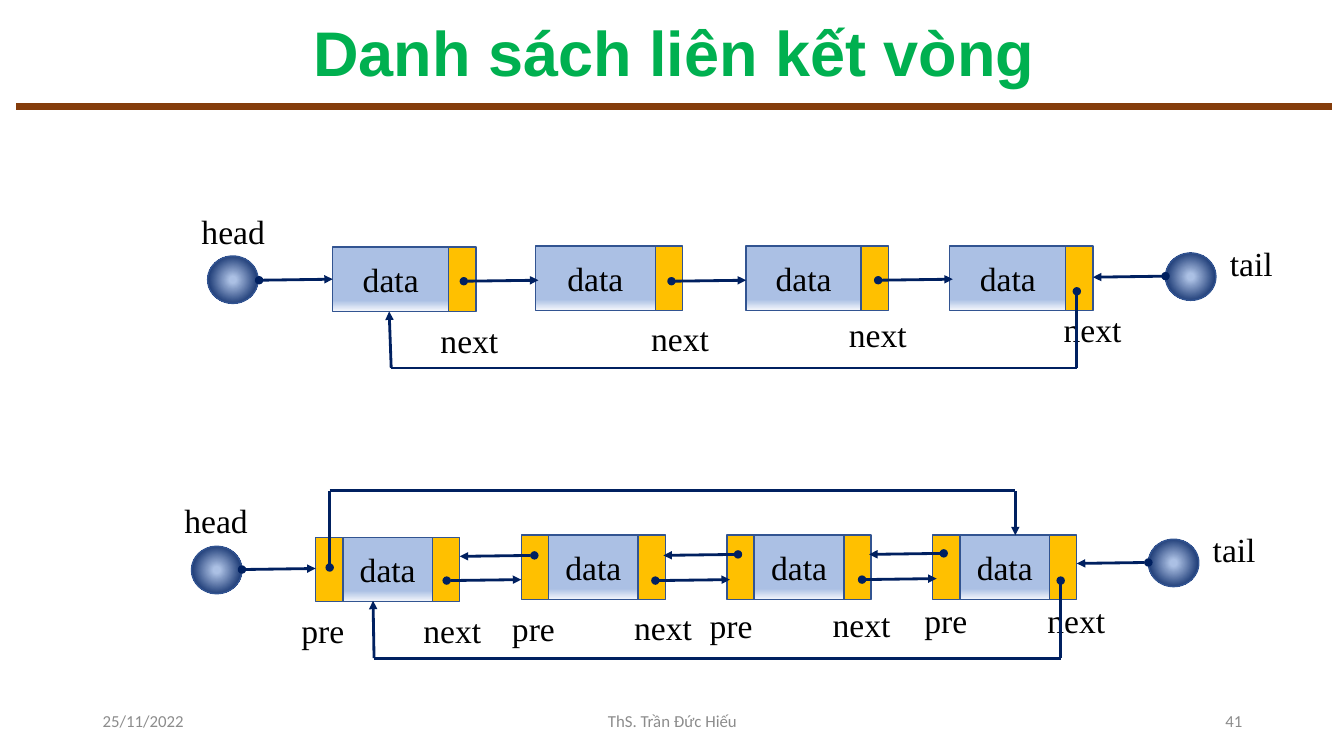
from pptx import Presentation
from pptx.dml.color import RGBColor
from pptx.enum.shapes import MSO_CONNECTOR, MSO_SHAPE
from pptx.enum.text import MSO_ANCHOR, MSO_AUTO_SIZE, PP_ALIGN
from pptx.oxml import parse_xml
from pptx.oxml.ns import nsdecls, qn
from pptx.util import Inches, Pt

NAVY = "002060"
OUTLINE = "325491"
AMBER = "FFC000"
GREY = "8C8C8C"
SERIF = "Times New Roman"
DATA_STOPS = [(74, "ABC0E4"), (83, "ABC0E4"), (100, "F6F8FC"), (100, "C7D5ED")]
BALL_STOPS = [(10, "ABC0E4"), (85, NAVY), (100, "ABC0E4"), (100, "C7D5ED")]
DOWNWARD = '<a:lin ang="5400000" scaled="0"/>'
RADIAL = ('<a:path path="circle"><a:fillToRect l="50000" t="50000" '
          'r="50000" b="50000"/></a:path>')
POINTER_WIDTH = 0.27
NODE_HEIGHT = 0.64


def color(value):
    return RGBColor.from_string(value)


def write(shape, text, size, font, text_color, align, bold=False):
    frame = shape.text_frame
    frame.text = text
    frame.vertical_anchor = MSO_ANCHOR.MIDDLE
    paragraph = frame.paragraphs[0]
    paragraph.alignment = align
    run_font = paragraph.runs[0].font
    run_font.size = Pt(size)
    run_font.name = font
    run_font.bold = bold
    run_font.color.rgb = color(text_color)


def fill_gradient(shape, stops, direction):
    stop_xml = "".join(
        f'<a:gs pos="{position * 1000}"><a:srgbClr val="{value}"/></a:gs>'
        for position, value in stops)
    shape.fill.background()
    properties = shape._element.spPr
    properties.replace(properties.find(qn("a:noFill")), parse_xml(
        f'<a:gradFill rotWithShape="1" {nsdecls("a")}>'
        f'<a:gsLst>{stop_xml}</a:gsLst>{direction}</a:gradFill>'))


def add_outlined(slide, kind, left, top, width, height):
    shape = slide.shapes.add_shape(
        kind, Inches(left), Inches(top), Inches(width), Inches(height))
    shape.shadow.inherit = False
    shape.line.color.rgb = color(OUTLINE)
    shape.line.width = Pt(1)
    return shape


def add_data(slide, left, top, width):
    shape = add_outlined(slide, MSO_SHAPE.RECTANGLE, left, top, width, NODE_HEIGHT)
    fill_gradient(shape, DATA_STOPS, DOWNWARD)
    write(shape, "data", 24, SERIF, "000000", PP_ALIGN.CENTER)


def add_pointer(slide, left, top):
    shape = add_outlined(slide, MSO_SHAPE.RECTANGLE, left, top,
                         POINTER_WIDTH, NODE_HEIGHT)
    shape.fill.solid()
    shape.fill.fore_color.rgb = color(AMBER)


def add_ball(slide, left, top):
    shape = add_outlined(slide, MSO_SHAPE.OVAL, left, top, 0.5, 0.47)
    fill_gradient(shape, BALL_STOPS, RADIAL)


def add_label(slide, text, left, top):
    width = {"head": 0.84, "next": 0.78, "pre": 0.63, "tail": 0.63}[text]
    box = slide.shapes.add_textbox(
        Inches(left), Inches(top), Inches(width), Inches(0.5))
    write(box, text, 24, SERIF, "000000", PP_ALIGN.LEFT)
    box.text_frame.vertical_anchor = MSO_ANCHOR.TOP
    box.text_frame.word_wrap = False
    box.text_frame.auto_size = MSO_AUTO_SIZE.SHAPE_TO_FIT_TEXT


def add_line(slide, start, end, head=None, tail=None, line_color=NAVY, width=2):
    line = slide.shapes.add_connector(
        MSO_CONNECTOR.STRAIGHT, *(Inches(value) for value in start + end))
    line.line.color.rgb = color(line_color)
    line.line.width = Pt(width)
    outline = line.line._get_or_add_ln()
    for tag, kind in (("headEnd", head), ("tailEnd", tail)):
        if kind:
            outline.append(parse_xml(f'<a:{tag} type="{kind}" {nsdecls("a")}/>'))
    line._element.spPr.append(parse_xml(f'<a:effectLst {nsdecls("a")}/>'))


def add_arrow(slide, start, end):
    add_line(slide, start, end, "oval", "triangle")


def add_loop(slide, points):
    """Route a pointer through four points, from its dot to its arrowhead."""
    first, second, third, last = points
    add_line(slide, first, second, head="oval")
    add_line(slide, second, third)
    add_line(slide, third, last, tail="triangle")


def add_end(slide, text, label, ball, start, end):
    """Add the head or tail marker with its arrow into the list."""
    add_ball(slide, *ball)
    add_label(slide, text, *label)
    add_arrow(slide, start, end)


def add_single_list(slide):
    # left, top and width of the data cell, then the place of its label
    nodes = [(3.3, 2.45, 1.15, (4.27, 3.12)), (5.31, 2.44, 1.19, (6.36, 3.1)),
             (7.4, 2.44, 1.14, (8.32, 3.07)), (9.42, 2.44, 1.15, (10.45, 3.02))]
    for left, top, width, next_label in nodes:
        add_data(slide, left, top, width)
        add_pointer(slide, left + width, top)
        add_label(slide, "next", *next_label)
    for left, top in [(4.6, 2.79), (6.66, 2.79), (8.71, 2.78)]:
        add_arrow(slide, (left, top), (left + 0.74, top - 0.01))
    add_loop(slide, [(10.68, 2.89), (10.68, 3.65), (3.88, 3.65), (3.86, 3.09)])
    add_end(slide, "head", (1.9, 2.04), (2.06, 2.54), (2.57, 2.78), (3.3, 2.77))
    add_end(slide, "tail", (12.1, 2.36), (11.56, 2.51), (11.56, 2.74), (10.84, 2.75))


def add_double_list(slide):
    # top of the node, then the places of its two labels
    nodes = [(5.33, (2.89, 6), (4.1, 6)), (5.31, (4.98, 5.98), (6.19, 5.97)),
             (5.31, (6.94, 5.95), (8.16, 5.94)), (5.31, (9.07, 5.9), (10.29, 5.9))]
    for index, (top, pre_label, next_label) in enumerate(nodes):
        left = 3.13 + index * 2.04
        add_data(slide, left + POINTER_WIDTH, top, 0.89)
        add_pointer(slide, left + 1.16, top)
        add_pointer(slide, left, top)
        add_label(slide, "next", *next_label)
        add_label(slide, "pre", *pre_label)
    for left, top in [(4.43, 5.76), (6.5, 5.76), (8.55, 5.75)]:
        add_arrow(slide, (left, top), (left + 0.74, top - 0.01))
    for left, top in [(4.56, 5.52), (6.58, 5.51), (8.62, 5.5)]:
        add_arrow(slide, (left + 0.74, top - 0.01), (left, top))
    add_loop(slide, [(10.52, 5.76), (10.52, 6.53), (3.71, 6.53), (3.7, 5.96)])
    add_loop(slide, [(3.27, 5.63), (3.27, 4.87), (10.07, 4.87), (10.07, 5.31)])
    add_end(slide, "head", (1.73, 4.91), (1.9, 5.42), (2.4, 5.65), (3.13, 5.64))
    add_end(slide, "tail", (11.93, 5.2), (11.39, 5.35), (11.39, 5.58), (10.68, 5.59))


def add_title(slide):
    title = slide.shapes.title
    title.left, title.top = Inches(0.16), Inches(0.15)
    title.width, title.height = Inches(13.05), Inches(0.81)
    write(title, "Danh sách liên kết vòng", 45, "Arial", "00B050",
          PP_ALIGN.CENTER, bold=True)
    title.text_frame.paragraphs[0].line_spacing = 0.9
    add_line(slide, (0.16, 1.06), (13.21, 1.06), line_color="843C0B", width=5)


def add_footer(slide, text, left, width, align):
    box = slide.shapes.add_textbox(
        Inches(left), Inches(6.95), Inches(width), Inches(0.4))
    box.text_frame.word_wrap = True
    write(box, text, 12, "Calibri", GREY, align)


def main():
    presentation = Presentation()
    presentation.slide_width = Inches(13.33)
    presentation.slide_height = Inches(7.5)
    slide = presentation.slides.add_slide(presentation.slide_layouts[5])
    add_title(slide)
    add_footer(slide, "25/11/2022", 0.92, 3, PP_ALIGN.LEFT)
    add_footer(slide, "ThS. Trần Đức Hiếu", 4.42, 4.5, PP_ALIGN.CENTER)
    add_footer(slide, "41", 9.42, 3, PP_ALIGN.RIGHT)
    add_double_list(slide)
    add_single_list(slide)
    presentation.save("out.pptx")


if __name__ == "__main__":
    main()
